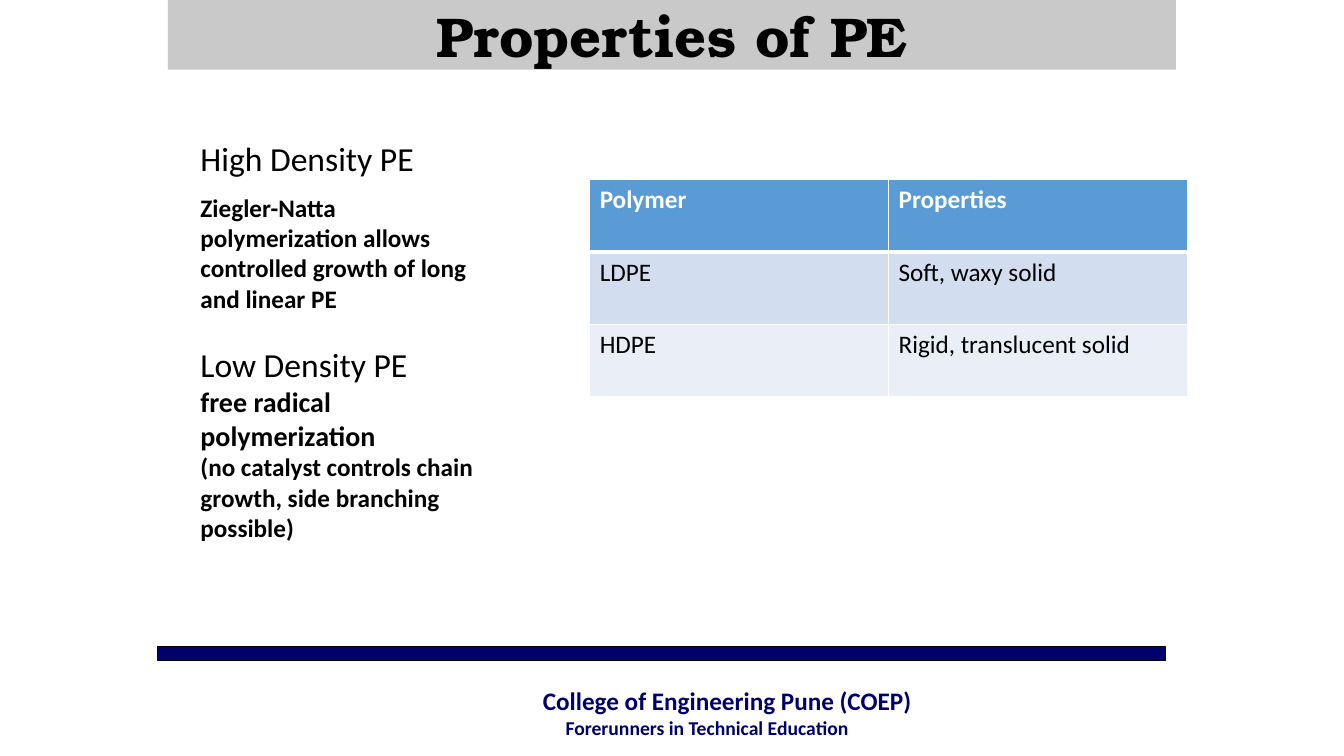
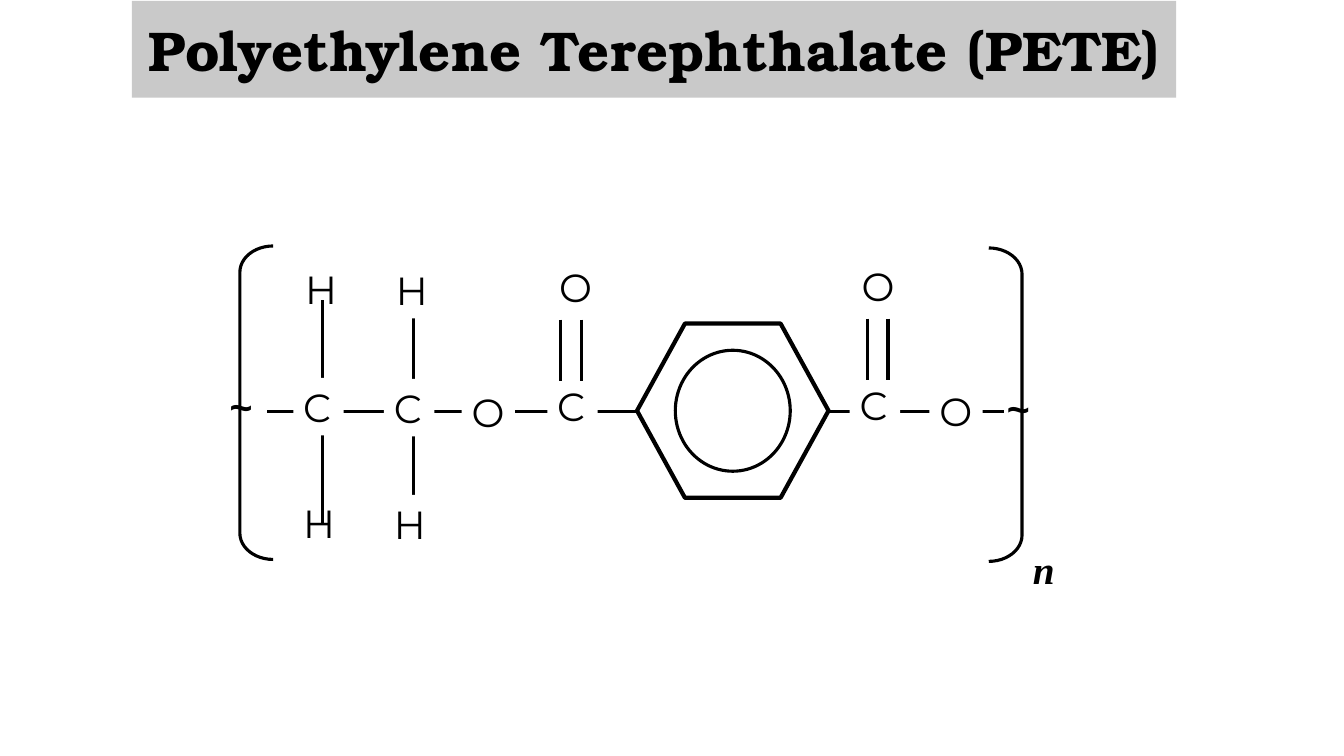
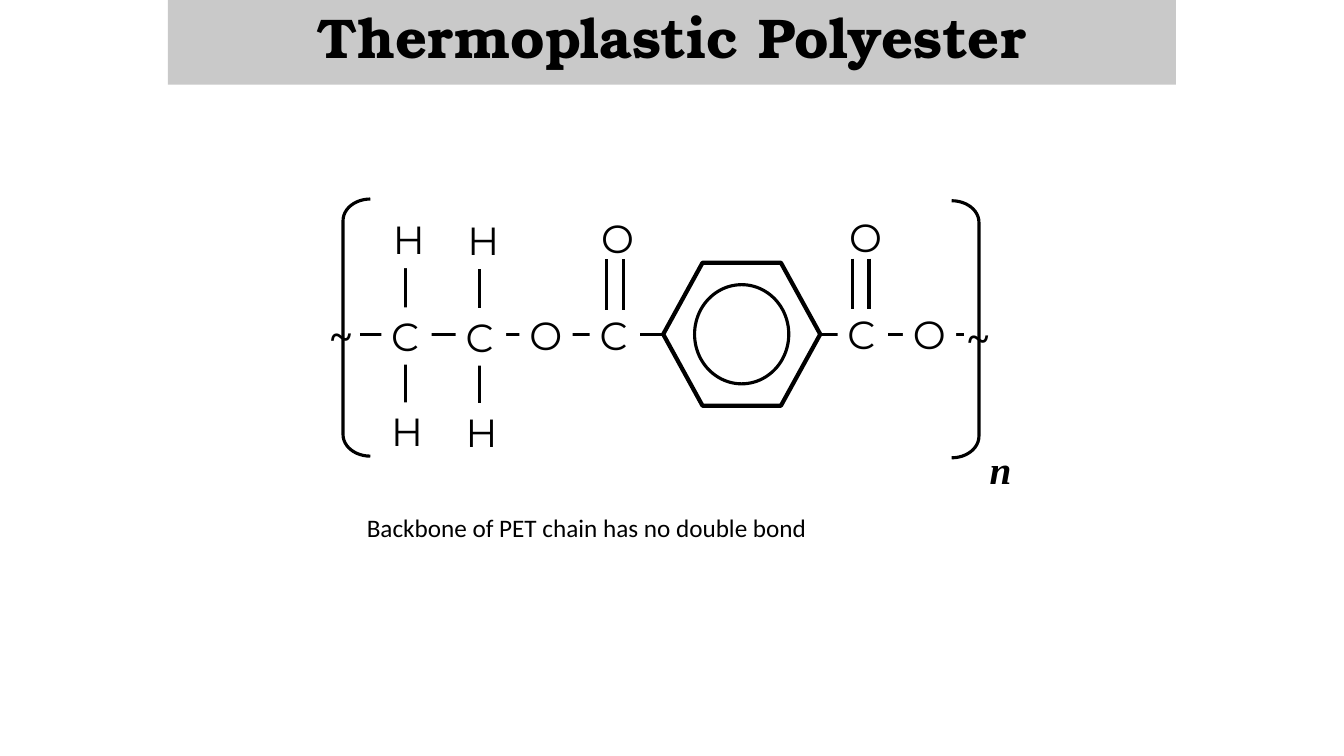
from lxml import etree
from pptx import Presentation
from pptx.dml.color import RGBColor
from pptx.enum.shapes import MSO_CONNECTOR, MSO_SHAPE
from pptx.enum.text import MSO_ANCHOR, MSO_AUTO_SIZE, PP_ALIGN
from pptx.oxml.ns import qn
from pptx.util import Inches, Pt

COLUMNS, ROWS = 160, 90
BLACK, WHITE, NAVY, BAND = "000000", "FFFFFF", "00006C", "C9C9C9"
HEADER_FILL, ROW_FILLS = "5B9BD5", ("D2DEEF", "EAEFF7")

TITLE = dict(name="TeX Gyre Bonum", size=Pt(40), bold=True)
BODY = dict(name="Calibri", size=Pt(18), bold=False)
STRONG = {**BODY, "bold": True}
HEADING = {**BODY, "size": Pt(24)}
ATOM = dict(name="Montserrat", size=Pt(28))
REPEAT = dict(name="Times New Roman", size=Pt(28), bold=True, italic=True)


def cells(count):
    """Length of a number of grid cells."""
    return Inches(count / 12)


def rgb(code):
    return RGBColor.from_string(code)


class Deck:
    def __init__(self):
        self.show = Presentation()
        self.show.slide_width = cells(COLUMNS)
        self.show.slide_height = cells(ROWS)
        self.slide = None

    def new_slide(self):
        self.slide = self.show.slides.add_slide(self.show.slide_layouts[6])

    def set_lines(self, frame, lines, color=BLACK, align=PP_ALIGN.LEFT):
        """Fill a frame from (text, font format, paragraph format) lines."""
        for index, (text, font, layout) in enumerate(lines):
            paragraph = frame.add_paragraph() if index else frame.paragraphs[0]
            paragraph.alignment = align
            for key, value in layout.items():
                setattr(paragraph, key, value)
            run = paragraph.add_run()
            run.text = text
            for key, value in font.items():
                setattr(run.font, key, value)
            run.font.color.rgb = rgb(color)
        return frame

    def text(self, box, lines, fill=None, wrap=True, **look):
        area = self.slide.shapes.add_textbox(*map(cells, box))
        if fill:
            area.fill.solid()
            area.fill.fore_color.rgb = rgb(fill)
        frame = self.set_lines(area.text_frame, lines, **look)
        frame.word_wrap = wrap
        frame.auto_size = MSO_AUTO_SIZE.SHAPE_TO_FIT_TEXT
        return frame

    def shape(self, kind, box, fill=None, line=None, adjust=None):
        """Preset shape; line is a width in points."""
        shape = self.slide.shapes.add_shape(kind, *map(cells, box))
        shape.shadow.inherit = False
        if fill:
            shape.fill.solid()
            shape.fill.fore_color.rgb = rgb(fill)
        else:
            shape.fill.background()
        if line:
            shape.line.color.rgb = rgb(BLACK)
            shape.line.width = Pt(line)
        else:
            shape.line.fill.background()
        if adjust is not None:
            shape.adjustments[0] = adjust
        return shape

    def bond(self, start, end):
        line = self.slide.shapes.add_connector(
            MSO_CONNECTOR.STRAIGHT, *map(cells, (*start, *end)))
        line.line.color.rgb = rgb(BLACK)
        line.line.width = Pt(2.25)
        etree.SubElement(line._element.spPr, qn("a:effectLst"))

    def title(self, text, box):
        band = self.shape(MSO_SHAPE.RECTANGLE, box, BAND)
        band.text_frame.vertical_anchor = MSO_ANCHOR.MIDDLE
        self.set_lines(band.text_frame, [(text, TITLE, {})], align=PP_ALIGN.CENTER)

    def footer(self, name, motto):
        frame = self.text((33.72, 81, 100.92, 8.64),
                          [(name, STRONG, {}), (motto, {**STRONG, "size": Pt(14)}, {})],
                          color=NAVY, align=PP_ALIGN.CENTER)
        frame.paragraphs[0]._p.get_or_add_pPr().set("marL", str(cells(4.8)))
        self.shape(MSO_SHAPE.RECTANGLE, (18.72, 76.92, 120, 1.68), NAVY, line=0.75)

    def border(self, cell, bottom):
        """White borders, with the bottom width in points."""
        properties = cell._tc.get_or_add_tcPr()
        widths = dict(lnL=1, lnR=1, lnT=1, lnB=bottom)
        for place, (side, width) in enumerate(widths.items()):
            edge = etree.Element(qn("a:" + side), w=str(Pt(width)))
            paint = etree.SubElement(edge, qn("a:solidFill"))
            etree.SubElement(paint, qn("a:srgbClr"), val=WHITE)
            properties.insert(place, edge)

    def table(self, box, rows):
        grid = self.slide.shapes.add_table(
            len(rows), len(rows[0]), *map(cells, box)).table
        for r, row in enumerate(rows):
            header = r == 0
            for c, text in enumerate(row):
                cell = grid.cell(r, c)
                cell.fill.solid()
                cell.fill.fore_color.rgb = rgb(
                    HEADER_FILL if header else ROW_FILLS[(r - 1) % 2])
                self.set_lines(cell.text_frame,
                               [(text, STRONG if header else BODY, {})],
                               color=WHITE if header else BLACK)
                self.border(cell, bottom=3 if header else 1)


def draw_repeat_unit(deck, left, middle, scale, tilde_font, first_h_fill=WHITE,
                     oxygen_rise=0, bracket_shift=0, bond_shift=0):
    """PET repeat unit, measured from the left end of its backbone."""
    def at(x, y):
        return left + x * scale, middle + y * scale

    def sized(x, y, width, height):
        return *at(x, y), width * scale, height * scale

    def atom(symbol, x, y, fill=WHITE):
        width = 6 if symbol == "C" else 6.36
        deck.text((*at(x, y), width, 6.84), [(symbol, ATOM, {})], fill, wrap=False)

    def mark(symbol, x, y, font):
        deck.text((*at(x, y), 6.36, 6.84), [(symbol, font, {})])

    deck.bond(at(0, 0), at(87.72, 0))
    for x, y in ((78.84, -3.48), (23.16, -3.36)):
        atom("O", x, y - oxygen_rise)

    for x, y, bonds in ((69.36, 0, (71.52, 73.92)),
                        (33.36, 0.12, (34.92 + bond_shift, 37.44 + bond_shift))):
        atom("O", x + 0.24, y - 18.36)
        atom("C", x, y - 4.2)
        for bond in bonds:
            deck.bond(at(bond, y - 11.04), at(bond, y - 3.72))

    for kind, width, height, line, adjust in (
            (MSO_SHAPE.HEXAGON, 22.8, 20.76, 3, 0.275),
            (MSO_SHAPE.OVAL, 13.68, 14.4, 2.25, None)):
        deck.shape(kind, sized(55.44 - width / 2, -0.06 - height / 2, width, height),
                   WHITE, line, adjust)

    for x, y, fill in ((13.92, 0.12, WHITE), (3.12, 0, first_h_fill)):
        deck.bond(at(x + 3.48, y - 13.2), at(x + 3.48, y + 13.56))
        atom("H", x, y + 9.84, fill)
        atom("H", x + 0.24, y - 18, fill)
        atom("C", x, y - 3.96)

    for kind, x, y in ((MSO_SHAPE.LEFT_BRACKET, bracket_shift - 3.24, -19.68),
                       (MSO_SHAPE.RIGHT_BRACKET, 85.92, -19.44)):
        deck.shape(kind, sized(x, y, 3.96, 37.32), line=2.25, adjust=0.79)
    for x, y in ((-5.64, -4.08), (86.88, -3.84)):
        mark("~", x, y, dict(name=tilde_font, size=Pt(28), bold=True))
    mark("n", 90, 15.36, REPEAT)


def main():
    deck = Deck()

    deck.new_slide()
    deck.title("Properties of PE", (20, 0, 120, 8.28))
    deck.footer("College of Engineering Pune (COEP)", "Forerunners in Technical Education")
    deck.text((22.68, 15.84, 35.04, 49.68), [
        ("High Density PE", HEADING, {}),
        ("Ziegler-Natta polymerization allows controlled growth of long and linear PE",
         STRONG, dict(space_before=Pt(10))),
        ("Low Density PE", HEADING, dict(space_before=Pt(22))),
        ("free radical polymerization", {**STRONG, "size": Pt(20)}, {}),
        ("(no catalyst controls chain growth, side branching possible)", STRONG, {}),
    ])
    deck.table((70.2, 21.36, 71.16, 25.92), [
        ("Polymer", "Properties"),
        ("LDPE", "Soft, waxy solid"),
        ("HDPE", "Rigid, translucent solid"),
    ])

    deck.new_slide()
    draw_repeat_unit(deck, 31.8, 48.96, 1, "Arial", first_h_fill=None)
    deck.title("Polyethylene Terephthalate (PETE)", (15.72, 0.12, 124.32, 11.52))

    deck.new_slide()
    deck.title("Thermoplastic Polyester", (20, -1.44, 120, 11.52))
    draw_repeat_unit(deck, 42.84, 39.84, 0.82, "Times New Roman",
                     oxygen_rise=0.8, bracket_shift=0.8, bond_shift=0.9)
    deck.text((42.48, 60.36, 74.16, 4.8),
              [("Backbone of PET chain has no double bond", BODY, {})])

    deck.show.save("out.pptx")


if __name__ == "__main__":
    main()
